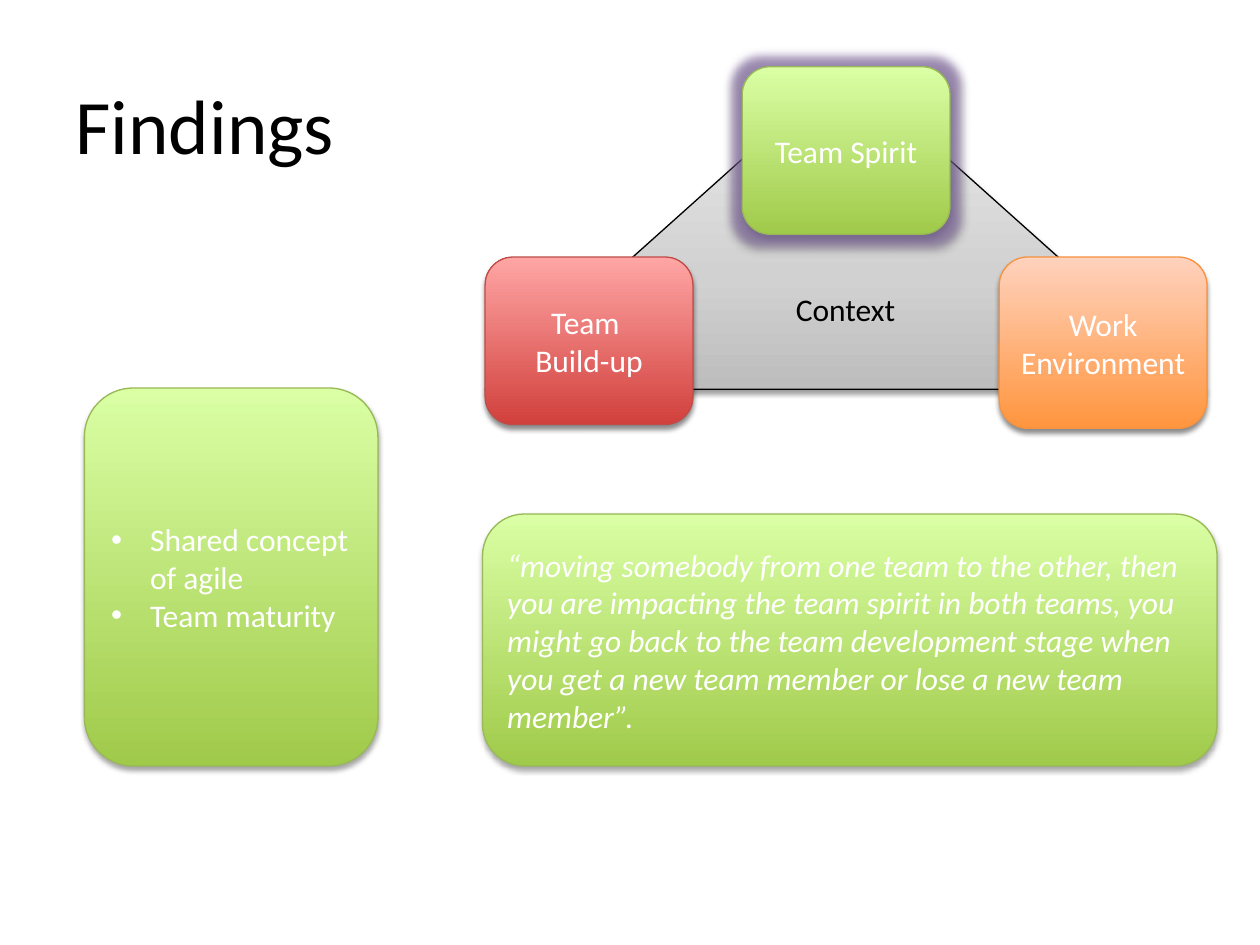
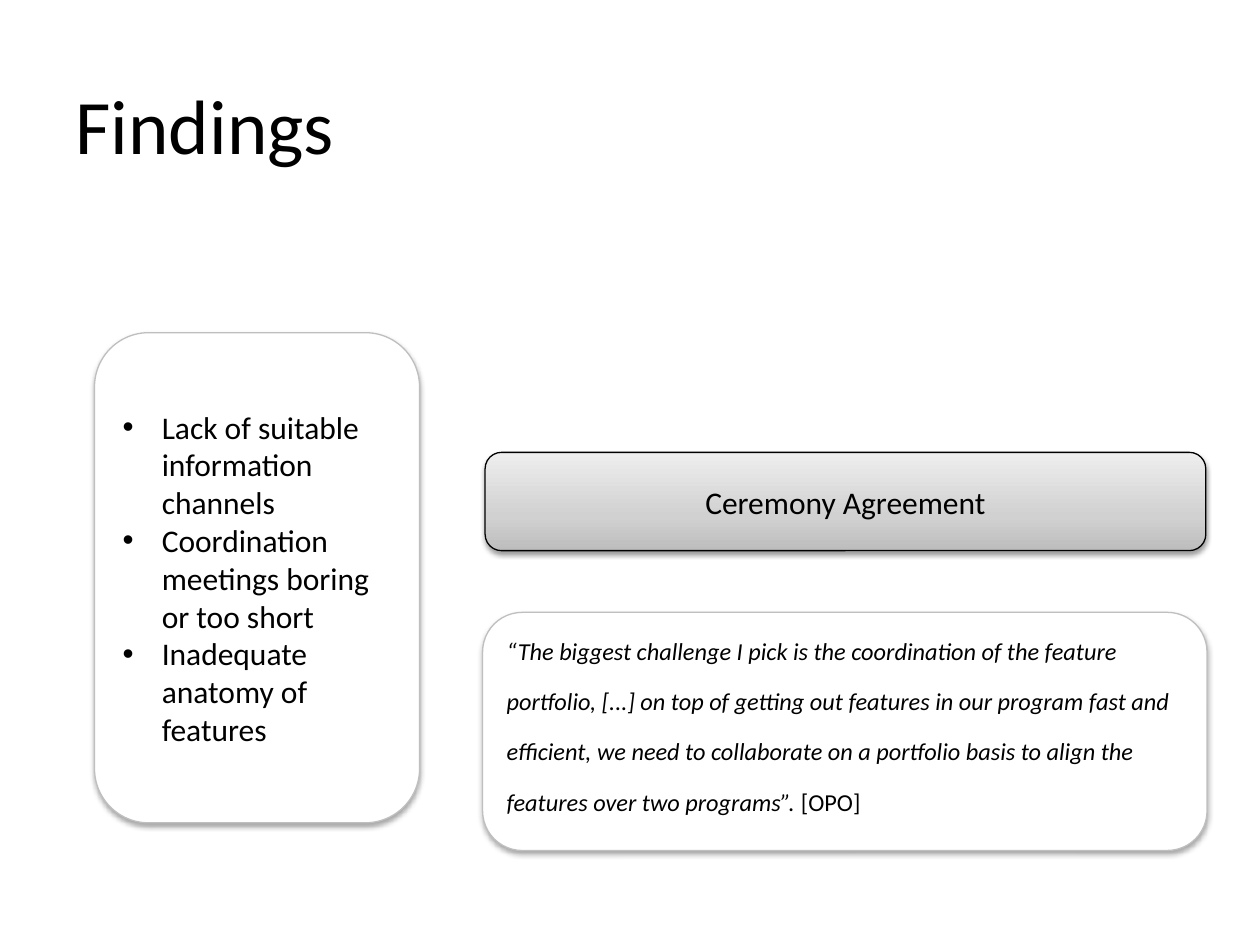
from copy import deepcopy

from lxml import etree
from pptx import Presentation
from pptx.dml.color import RGBColor
from pptx.enum.shapes import MSO_SHAPE
from pptx.enum.text import MSO_ANCHOR, PP_ALIGN
from pptx.oxml.ns import qn
from pptx.util import Inches, Pt

ROUND = MSO_SHAPE.ROUNDED_RECTANGLE
PEAK = MSO_SHAPE.ISOSCELES_TRIANGLE
LEFT = PP_ALIGN.LEFT
CENTER = PP_ALIGN.CENTER
MIDDLE = MSO_ANCHOR.MIDDLE
FONT = "Calibri"
COLORS = {"black": "000000", "white": "FFFFFF", "glow": "8064A2"}
LOOKS = {
    "green": ([(0, "A0CA4A"), (100, "DAFFA5")], "98B955", "white"),
    "orange": ([(0, "FF953E"), (100, "FFD2BD")], "F69240", "white"),
    "red": ([(0, "D1403C"), (100, "FFA6A5")], "BF4C48", "white"),
    "gray": ([(0, "BDBDBD"), (35, "D1D1D1"), (100, "EEEEEE")], "000000", "black"),
    "plain": ([(0, "FFFFFF")], "BFBFBF", "black"),
}
SOFT = (35, 3.1, 1.8)
BASE = (38, 3.1, 1.6)
DEEP = (45, 3, 2.4)


def rgb(code):
    return RGBColor.from_string(code)


class Deck:
    def __init__(self):
        self.prs = Presentation()
        self.prs.slide_width = Inches(10)
        self.prs.slide_height = Inches(7.5)
        self.slide = None

    def page(self, title):
        self.slide = self.prs.slides.add_slide(self.prs.slide_layouts[5])
        head = self.slide.shapes.title
        head.left, head.top = Inches(0.5), Inches(0.51)
        head.width, head.height = Inches(9), Inches(0.94)
        frame = head.text_frame
        frame.text = title
        frame.vertical_anchor = MIDDLE
        self.style(frame.paragraphs[0], "black", 44, LEFT)

    def style(self, para, color, size=18, align=CENTER, italic=False):
        para.alignment = align
        font = para.font
        font.name, font.size, font.italic = FONT, Pt(size), italic
        font.color.rgb = rgb(COLORS[color])

    def paint(self, shape, stops):
        if len(stops) == 1:
            shape.fill.solid()
            shape.fill.fore_color.rgb = rgb(stops[0][1])
            return
        shape.fill.gradient()
        shape.fill.gradient_angle = 90
        items = shape.element.spPr.find(qn("a:gradFill")).find(qn("a:gsLst"))
        while len(items) < len(stops):
            items.append(deepcopy(items[0]))
        for stop, (pos, code) in zip(shape.fill.gradient_stops, stops):
            stop.position = pos / 100
            stop.color.rgb = rgb(code)

    def effect(self, shape, tag, color, alpha, **sizes):
        effects = shape.element.spPr.find(qn("a:effectLst"))
        node = etree.SubElement(effects, qn(tag))
        for key, value in sizes.items():
            node.set(key, str(value))
        tint = etree.SubElement(node, qn("a:srgbClr"), val=COLORS[color])
        etree.SubElement(tint, qn("a:alpha"), val=str(alpha * 1000))

    def box(self, at, look, shade, kind=ROUND, glow=False):
        stops, edge, _ = LOOKS[look]
        shape = self.slide.shapes.add_shape(kind, *map(Inches, at))
        self.paint(shape, stops)
        shape.line.color.rgb = rgb(edge)
        shape.line.width = Pt(0.75)
        shape.shadow.inherit = False
        if glow:
            self.effect(shape, "a:glow", "glow", 60, rad=Pt(11))
        alpha, blur, dist = shade
        self.effect(shape, "a:outerShdw", "black", alpha, blurRad=Pt(blur),
                    dist=Pt(dist), dir=5400000, rotWithShape=0)
        shape.text_frame.word_wrap = True
        shape.text_frame.vertical_anchor = MIDDLE
        return shape.text_frame

    def label(self, at, look, text, shade=DEEP, **more):
        para = self.box(at, look, shade, **more).paragraphs[0]
        para.text = text
        self.style(para, LOOKS[look][2])

    def points(self, at, look, items):
        frame = self.box(at, look, SOFT)
        frame.text = "\n".join(items)
        for para in frame.paragraphs:
            props = para._p.get_or_add_pPr()
            props.set("marL", str(Inches(0.31)))
            props.set("indent", str(-Inches(0.31)))
            etree.SubElement(props, qn("a:buFont"), typeface="Arial")
            etree.SubElement(props, qn("a:buChar"), char="•")
            self.style(para, LOOKS[look][2], align=LEFT)

    def quote(self, at, look, text, size=18, source="", rise=0):
        para = self.box(at, look, SOFT).paragraphs[0]
        para.text = text
        self.style(para, LOOKS[look][2], size, LEFT, italic=True)
        if source:
            run = para.add_run()
            run.text = source
            run.font.italic = False
        if rise:
            for run in para.runs:
                run._r.get_or_add_rPr().set("baseline", str(rise * 1000))


def main():
    deck = Deck()

    deck.page("Findings")
    deck.label((3.85, 0.53, 5.72, 2.56), "gray", "Context", BASE, kind=PEAK)
    deck.label((5.89, 0.53, 1.65, 1.33), "green", "Team Spirit", glow=True)
    deck.label((7.93, 2.04, 1.65, 1.36), "orange", "Work Environment")
    deck.label((3.85, 2.04, 1.65, 1.33), "red", "Team \vBuild-up")
    deck.quote((3.83, 4.08, 5.83, 2), "green",
               "“moving somebody from one team to the other, then you are "
               "impacting the team spirit in both teams, you might go back to "
               "the team development stage when you get a new team member or "
               "lose a new team member”.")
    deck.points((0.67, 3.08, 2.33, 3), "green",
                ["Shared concept of agile", "Team maturity"])

    deck.page("Findings")
    deck.label((3.85, 3.59, 5.72, 0.78), "gray", "Ceremony Agreement", BASE)
    deck.points((0.75, 2.64, 2.58, 3.89), "plain",
                ["Lack of suitable information channels",
                 "Coordination meetings boring or too short",
                 "Inadequate anatomy of features"])
    deck.quote((3.83, 4.86, 5.75, 1.89), "plain",
               "“The biggest challenge I pick is the coordination of the "
               "feature portfolio, [...] on top of getting out features in our "
               "program fast and efficient, we need to collaborate on a "
               "portfolio basis to align the features over two programs”. ",
               size=24, source="[OPO]", rise=30)

    deck.prs.save("out.pptx")


if __name__ == "__main__":
    main()
